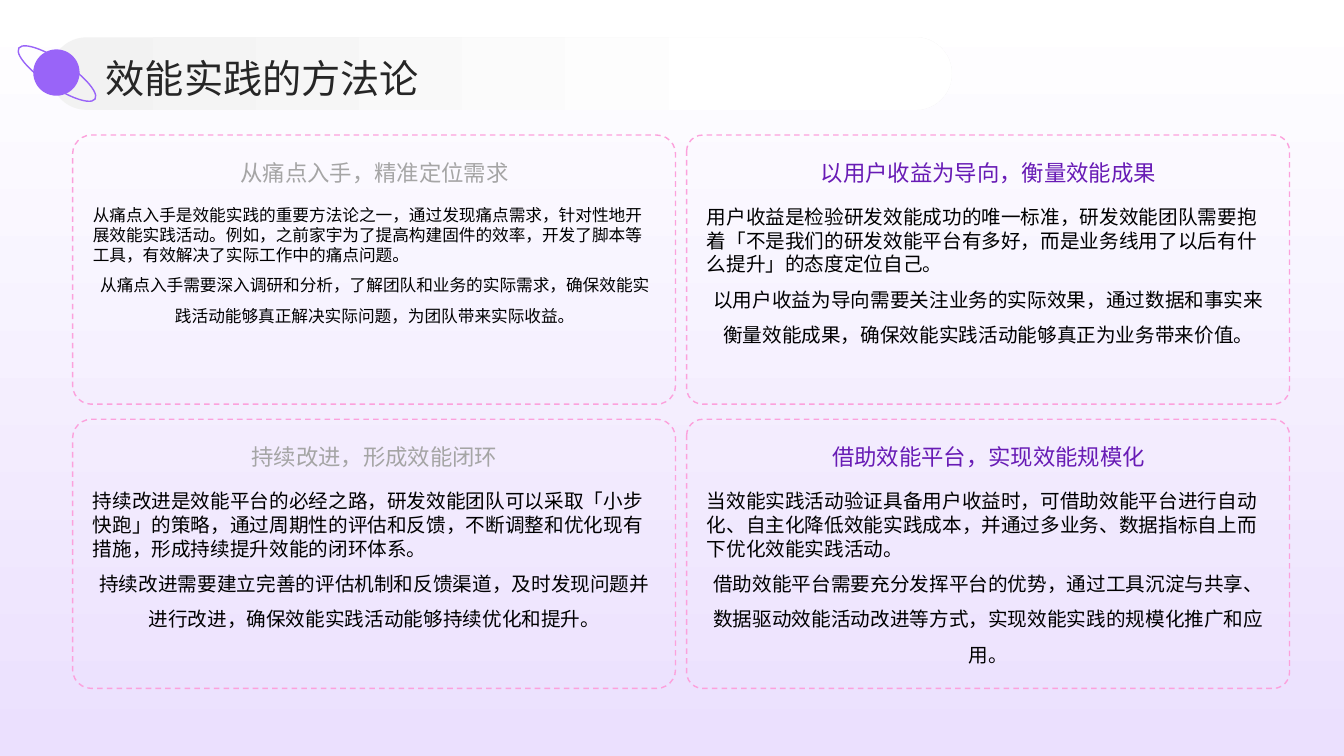
"""Build the slide on the methodology of efficiency practice."""
from pptx import Presentation
from pptx import util as u
from pptx.dml.color import RGBColor
from pptx.enum import dml, shapes, text
from pptx.oxml.ns import qn

FONT = "Noto Sans CJK SC"
COLORS = {
    "white": "FFFFFF", "lilac": "EBE0FE", "pink": "FCA1DC", "grey": "A5A5A5",
    "purple": "681BB5", "black": "000000", "banner": "F2F2F2",
    "heading": "262626", "planet": "9964F8",
}
CARDS = [
    ("从痛点入手，精准定位需求", 11.9,
     "从痛点入手是效能实践的重要方法论之一，通过发现痛点需求，针对性地开展效能实践活动。例如，之前家宇为了提高构建固件的效率，开发了脚本等工具，有效解决了实际工作中的痛点问题。",
     "从痛点入手需要深入调研和分析，了解团队和业务的实际需求，确保效能实践活动能够真正解决实际问题，为团队带来实际收益。"),
    ("以用户收益为导向，衡量效能成果", 14,
     "用户收益是检验研发效能成功的唯一标准，研发效能团队需要抱着「不是我们的研发效能平台有多好，而是业务线用了以后有什么提升」的态度定位自己。",
     "以用户收益为导向需要关注业务的实际效果，通过数据和事实来衡量效能成果，确保效能实践活动能够真正为业务带来价值。"),
    ("持续改进，形成效能闭环", 14,
     "持续改进是效能平台的必经之路，研发效能团队可以采取「小步快跑」的策略，通过周期性的评估和反馈，不断调整和优化现有措施，形成持续提升效能的闭环体系。",
     "持续改进需要建立完善的评估机制和反馈渠道，及时发现问题并进行改进，确保效能实践活动能够持续优化和提升。"),
    ("借助效能平台，实现效能规模化", 14,
     "当效能实践活动验证具备用户收益时，可借助效能平台进行自动化、自主化降低效能实践成本，并通过多业务、数据指标自上而下优化效能实践活动。",
     "借助效能平台需要充分发挥平台的优势，通过工具沉淀与共享、数据驱动效能活动改进等方式，实现效能实践的规模化推广和应用。"),
]
LEFT, CENTER = text.PP_ALIGN.LEFT, text.PP_ALIGN.CENTER
TOP, MIDDLE = text.MSO_ANCHOR.TOP, text.MSO_ANCHOR.MIDDLE
KIND = shapes.MSO_SHAPE

deck = Presentation()
deck.slide_width, deck.slide_height = u.Inches(13.33), u.Inches(7.5)
page = deck.slides.add_slide(deck.slide_layouts[6])


def add_shape(kind, place, fill=None, line=None, gradient=None):
    """Add a preset shape with a solid, gradient or empty fill."""
    shape = page.shapes.add_shape(kind, *map(u.Inches, place))
    shape.shadow.inherit = False
    if gradient:
        angle, *stops = gradient
        shape.fill.gradient()
        shape.fill.gradient_angle = angle
        for stop, (position, color) in zip(shape.fill.gradient_stops, stops):
            stop.position = position
            stop.color.rgb = RGBColor.from_string(COLORS[color])
    elif fill:
        shape.fill.solid()
        shape.fill.fore_color.rgb = RGBColor.from_string(COLORS[fill])
    else:
        shape.fill.background()
    if line:
        shape.line.color.rgb = RGBColor.from_string(COLORS[line])
        shape.line.width = u.Pt(1)
    else:
        shape.line.fill.background()
    return shape


def add_text(place, paragraphs, size, color, anchor):
    """Add a text box from (wording, alignment, line spacing) paragraphs."""
    frame = page.shapes.add_textbox(*map(u.Inches, place)).text_frame
    layout = {"word_wrap": True, "vertical_anchor": anchor, "margin_left": 0,
              "margin_right": 0, "margin_top": 0, "margin_bottom": 0}
    for name, value in layout.items():
        setattr(frame, name, value)
    for index, (wording, alignment, spacing) in enumerate(paragraphs):
        para = frame.add_paragraph() if index else frame.paragraphs[0]
        para.alignment, para.line_spacing = alignment, spacing
        span = para.add_run()
        span.text = wording
        for name, value in {"size": u.Pt(size), "name": FONT}.items():
            setattr(span.font, name, value)
        span.font.color.rgb = RGBColor.from_string(COLORS[color])
        east_asian = span.font._element.makeelement(qn("a:ea"), {"typeface": FONT})
        span.font._element.find(qn("a:latin")).addnext(east_asian)


add_shape(KIND.RECTANGLE, (0, 0, 13.33, 7.5),
          gradient=(270, (0, "white"), (1, "lilac")))

for index, (title, size, summary, detail) in enumerate(CARDS):
    row, column = divmod(index, 2)
    left, top = 0.72 + 6.09 * column, 1.34 + 2.82 * row
    card = add_shape(KIND.ROUNDED_RECTANGLE, (left, top, 5.98, 2.67), line="pink")
    card.adjustments[0] = 0.06 if column else 0.07
    card.line.dash_style = dml.MSO_LINE.DASH
    add_text((left + 0.2, top + 0.69, 5.59, 1.85),
             [(summary, LEFT, u.Pt(size * 1.21)), (detail, CENTER, u.Pt(size * 1.81))],
             size, "black", TOP)
    add_text((left + 0.2, top + 0.08, 5.59, 0.55), [(title, CENTER, 1.1)],
             16, "purple" if column else "grey", MIDDLE)

banner = add_shape(KIND.ROUNDED_RECTANGLE, (0.5, 0.37, 8.94, 0.72),
                   gradient=(0, (0, "banner"), (0.8, "white")))
banner.adjustments[0] = 0.5
add_text((1.05, 0.49, 11.67, 0.51), [("效能实践的方法论", LEFT, 1.1)],
         28, "heading", MIDDLE)
add_shape(KIND.OVAL, (0.33, 0.49, 0.46, 0.46), fill="planet")
orbit = add_shape(KIND.OVAL, (0.11, 0.6, 0.91, 0.26), line="planet")
orbit.rotation = 33.8

deck.save("out.pptx")
